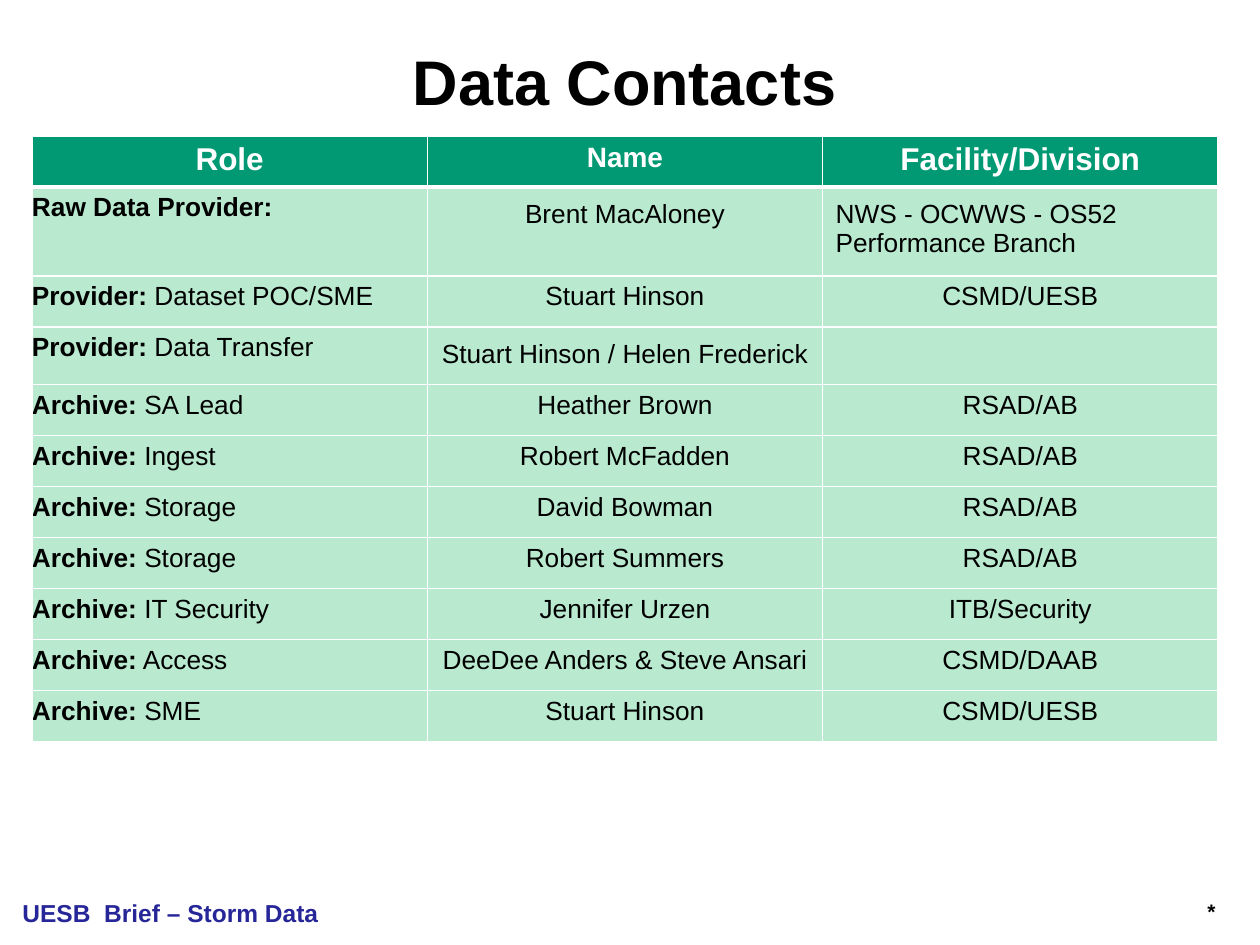
from dataclasses import dataclass

from lxml import etree
from pptx import Presentation, util as u
from pptx.dml.color import RGBColor
from pptx.enum import text
from pptx.oxml import ns

PX = 914400 // 126
GREEN, MINT, WHITE, BLACK, NAVY = "009973", "B9E9CF", "FFFFFF", "000000", "262699"
LEFT, CENTER, RIGHT = text.PP_ALIGN.LEFT, text.PP_ALIGN.CENTER, text.PP_ALIGN.RIGHT


@dataclass
class Contact:
    label: str
    duty: str
    name: str
    facility: str
    height: int = 51
    name_inset: int = 0
    facility_inset: int = 0
    facility_align: text.PP_ALIGN = CENTER


@dataclass
class Footer:
    wording: str
    left: int
    width: int
    size: int
    color: str
    align: text.PP_ALIGN


CONTACTS = [
    Contact("Raw Data Provider:", "", "Brent MacAloney",
            "NWS - OCWWS - OS52\nPerformance Branch", 84, 13, 13, LEFT),
    Contact("Provider:", " Dataset POC/SME", "Stuart Hinson", "CSMD/UESB"),
    Contact("Provider:", " Data Transfer", "Stuart Hinson / Helen Frederick", "", 54, 13),
    Contact("Archive:", " SA Lead", "Heather Brown", "RSAD/AB"),
    Contact("Archive:", " Ingest", "Robert McFadden", "RSAD/AB"),
    Contact("Archive:", " Storage", "David Bowman", "RSAD/AB"),
    Contact("Archive:", " Storage", "Robert Summers", "RSAD/AB"),
    Contact("Archive:", " IT Security", "Jennifer Urzen", "ITB/Security"),
    Contact("Archive:", " Access", "DeeDee Anders & Steve Ansari", "CSMD/DAAB"),
    Contact("Archive:", " SME", "Stuart Hinson", "CSMD/UESB"),
]
HEADINGS = [("Role", 18), ("Name", 16), ("Facility/Division", 18)]
FOOTERS = [
    Footer("UESB  Brief – Storm Data", 10, 546, 14, NAVY, LEFT),
    Footer("*", 966, 262, 12, BLACK, RIGHT),
]


def rgb(color: str) -> RGBColor:
    return RGBColor.from_string(color)


def place(shape, left: int, top: int, width: int, height: int) -> None:
    shape.left, shape.top = left * PX, top * PX
    shape.width, shape.height = width * PX, height * PX


def style(frame, size: int, color: str, bold: bool, align: text.PP_ALIGN) -> None:
    for paragraph in frame.paragraphs:
        paragraph.alignment = align
        font = paragraph.font
        font.name, font.size, font.bold = "Arial", u.Pt(size), bold
        font.color.rgb = rgb(color)


def set_borders(cell, top: int, bottom: int) -> None:
    properties = cell._tc.get_or_add_tcPr()
    for index, (side, points) in enumerate([("L", 1), ("R", 1), ("T", top), ("B", bottom)]):
        line = etree.Element(ns.qn(f"a:ln{side}"), w=str(u.Pt(points)))
        fill = etree.SubElement(line, ns.qn("a:solidFill"))
        etree.SubElement(fill, ns.qn("a:srgbClr"), val=WHITE)
        properties.insert(index, line)


def format_cell(cell, fill: str, inset: int, top: int, bottom: int) -> None:
    cell.margin_left = cell.margin_right = inset * PX
    cell.margin_top = cell.margin_bottom = max(inset, 6) * PX
    cell.fill.solid()
    cell.fill.fore_color.rgb = rgb(fill)
    set_borders(cell, top, bottom)


def fill_role(cell, contact: Contact) -> None:
    paragraph = cell.text_frame.paragraphs[0]
    for wording, bold in [(contact.label, True), (contact.duty, False)]:
        if wording:
            run = paragraph.add_run()
            run.text = wording
            run.font.bold = bold
    style(cell.text_frame, 15, BLACK, False, LEFT)


def add_contacts(slide) -> None:
    heights = [51] + [contact.height for contact in CONTACTS]
    contacts = slide.shapes.add_table(
        len(heights), len(HEADINGS), 32 * PX, 136 * PX, 1186 * PX, sum(heights) * PX).table
    contacts.horz_banding = False
    for column in contacts.columns:
        column.width = 1186 * PX // len(HEADINGS)
    for row, height in zip(contacts.rows, heights):
        row.height = height * PX
    for column, (heading, size) in enumerate(HEADINGS):
        cell = contacts.cell(0, column)
        cell.text = heading
        format_cell(cell, GREEN, 0, 1, 3)
        style(cell.text_frame, size, WHITE, True, CENTER)
    for row, contact in enumerate(CONTACTS, 1):
        role, name, facility = contacts.rows[row].cells
        fill_role(role, contact)
        name.text, facility.text = contact.name, contact.facility
        style(name.text_frame, 15, BLACK, False, CENTER)
        style(facility.text_frame, 15, BLACK, False, contact.facility_align)
        insets = (0, contact.name_inset, contact.facility_inset)
        for cell, inset in zip((role, name, facility), insets):
            format_cell(cell, MINT, inset, 3 if row == 1 else 1, 1)


def add_footer(slide, footer: Footer) -> None:
    box = slide.shapes.add_textbox(0, 0, 0, 0)
    place(box, footer.left, 892, footer.width, 53)
    box.text_frame.word_wrap = True
    box.text_frame.text = footer.wording
    style(box.text_frame, footer.size, footer.color, True, footer.align)


deck = Presentation()
deck.slide_width, deck.slide_height = u.Inches(10), u.Inches(7.5)
slide = deck.slides.add_slide(deck.slide_layouts[5])
title = slide.shapes.title
place(title, 31, 22, 1187, 116)
title.text_frame.text = "Data Contacts"
title.text_frame.auto_size = text.MSO_AUTO_SIZE.NONE
title.text_frame.vertical_anchor = text.MSO_ANCHOR.MIDDLE
style(title.text_frame, 36, BLACK, True, CENTER)
for footer in FOOTERS:
    add_footer(slide, footer)
add_contacts(slide)
deck.save("out.pptx")
